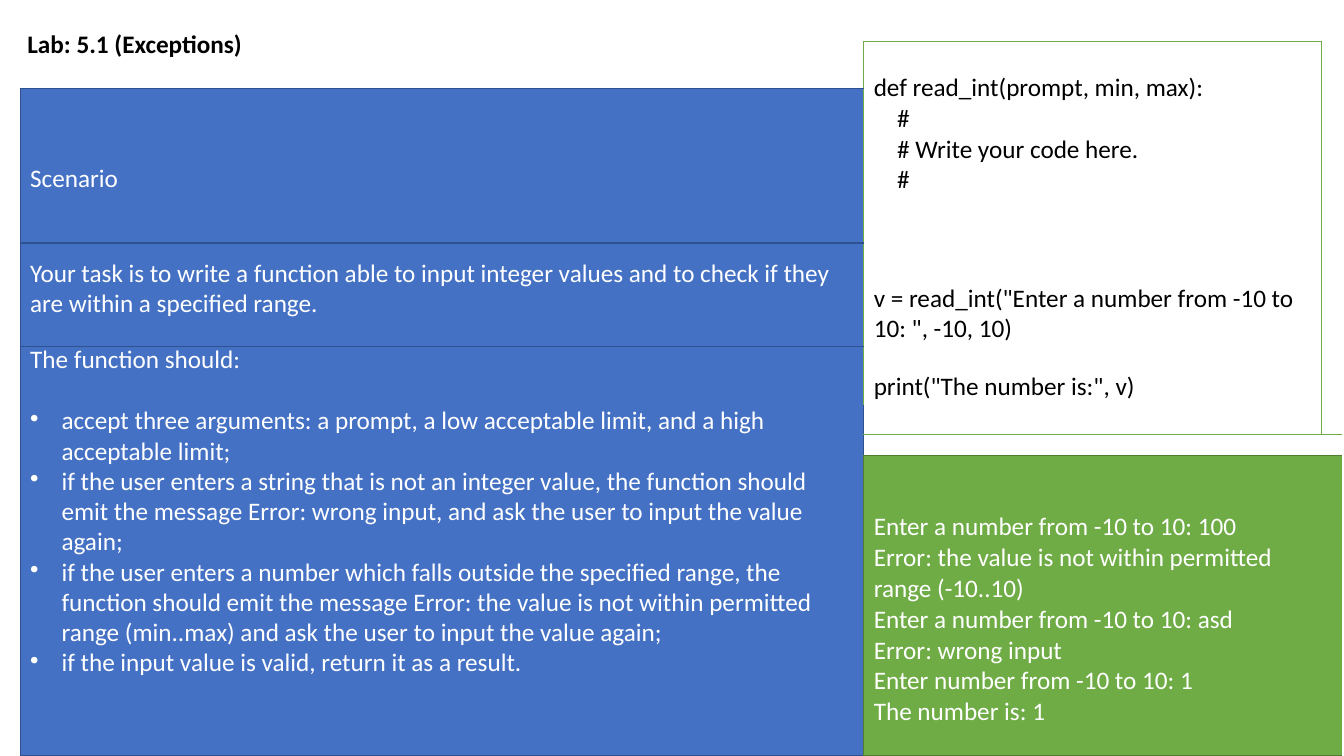
import pptx
import pptx.dml.color
import pptx.enum.text
import pptx.oxml
import pptx.oxml.ns
import pptx.util
from dataclasses import dataclass

Cm = pptx.util.Cm
Pt = pptx.util.Pt
qn = pptx.oxml.ns.qn


@dataclass(frozen=True)
class Theme:
    font: str = "Calibri"
    size: int = 18
    blue: str = "4471C4"
    navy: str = "2E528F"
    lime: str = "6FAC46"
    forest: str = "507D31"
    white: str = "FFFFFF"
    black: str = "000000"


THEME = Theme()
SIDES = {  # side: border tag, row step, column step, facing side
    "left": ("a:lnL", 0, -1, "right"),
    "right": ("a:lnR", 0, 1, "left"),
    "top": ("a:lnT", -1, 0, "bottom"),
    "bottom": ("a:lnB", 1, 0, "top"),
}
BORDER_ORDER = [tag for tag, *_ in SIDES.values()]


def write(frame, lines, color=THEME.black, bold=False, indent=0.0, pitch=None, bullet=False):
    """Fill a frame; a line is a string or a (string, indent in cm) pair."""
    for number, line in enumerate(lines):
        words, left = line if isinstance(line, tuple) else (line, indent)
        paragraph = frame.paragraphs[0] if number == 0 else frame.add_paragraph()
        paragraph.alignment = pptx.enum.text.PP_ALIGN.LEFT
        if pitch:
            paragraph.line_spacing = Pt(pitch)
        run = paragraph.add_run()
        run.text = words
        run.font.name = THEME.font
        run.font.size = Pt(THEME.size)
        run.font.bold = bold
        run.font.color.rgb = pptx.dml.color.RGBColor.from_string(color)
        properties = paragraph._p.get_or_add_pPr()
        properties.set("marL", str(Cm(left)))
        if bullet:
            properties.set("indent", str(-Cm(0.79)))
            mark = properties.makeelement(qn("a:buChar"), {"char": "•"})
            properties.append(mark)


class LabSlide:
    def __init__(self, deck, theme):
        self.theme = theme
        self.slide = deck.slides.add_slide(deck.slide_layouts[6])

    def heading(self, words, left, top, width, height):
        frame = self.slide.shapes.add_textbox(Cm(left), Cm(top), Cm(width), Cm(height)).text_frame
        frame.word_wrap = True
        frame.margin_left = frame.margin_right = frame.margin_top = frame.margin_bottom = 0
        write(frame, [words], bold=True)

    def grid(self, left, top, widths, heights):
        frame = self.slide.shapes.add_table(len(heights), len(widths), Cm(left), Cm(top),
                                            Cm(sum(widths)), Cm(sum(heights)))
        self.table = frame.table
        self.table.first_row = self.table.horz_banding = False
        style = self.table._tbl.tblPr.find(qn("a:tableStyleId"))
        style.text = "{2D5ABB26-0587-4C30-8999-92F81FD0307C}"
        for column, width in zip(self.table.columns, widths):
            column.width = Cm(width)
        for row, height in zip(self.table.rows, heights):
            row.height = Cm(height)
        for cell in self.table.iter_cells():
            cell.margin_left = cell.margin_right = cell.margin_top = cell.margin_bottom = 0
            cell.fill.background()
            # A tiny end mark keeps empty cells from stretching their rows
            ending = cell.text_frame.paragraphs[0]._p
            ending.append(ending.makeelement(qn("a:endParaRPr"), {"sz": "100"}))

    def merge(self, first, last):
        self.table.cell(*first).merge(self.table.cell(*last))

    def fill(self, rows, columns, color):
        for row in rows:
            for column in columns:
                fill = self.table.cell(row, column).fill
                fill.solid()
                fill.fore_color.rgb = pptx.dml.color.RGBColor.from_string(color)

    def text(self, row, column, lines, top=0.0, right=0.5, **style):
        cell = self.table.cell(row, column)
        cell.margin_top, cell.margin_right = Cm(top), Cm(right)
        write(cell.text_frame, lines, **{"indent": 0.25, **style})

    def border(self, side, rows, columns, color):
        """Draw one edge on each cell and on the neighbour that shares it."""
        _, down, across, facing = SIDES[side]
        for row in rows:
            for column in columns:
                self._line(row, column, side, color)
                beside = (row + down, column + across)
                if 0 <= beside[0] < len(self.table.rows) and 0 <= beside[1] < len(self.table.columns):
                    self._line(*beside, facing, color)

    def _line(self, row, column, side, color):
        tag = SIDES[side][0]
        properties = self.table.cell(row, column)._tc.get_or_add_tcPr()
        for old in properties.findall(qn(tag)):
            properties.remove(old)
        line = properties.makeelement(qn(tag), {"w": str(Pt(1))})
        solid = line.makeelement(qn("a:solidFill"), {})
        solid.append(solid.makeelement(qn("a:srgbClr"), {"val": color}))
        line.append(solid)
        earlier = [qn(name) for name in BORDER_ORDER[:BORDER_ORDER.index(tag)]]
        properties.insert(sum(child.tag in earlier for child in properties), line)


def main():
    deck = pptx.Presentation()
    deck.slide_width, deck.slide_height = Cm(33.87), Cm(19.05)
    lab = LabSlide(deck, THEME)

    # Table frame
    lab.grid(0.51, 1.05, [21.26, 11.53, 0.53],
             [1.19, 3.78, 2.62, 0.76, 0.71, 0.74, 0.53, 7.57, 0.08])
    for first, last in [((0, 1), (1, 1)), ((0, 2), (5, 2)), ((5, 0), (7, 0)),
                        ((6, 1), (6, 2)), ((7, 1), (7, 2)), ((8, 1), (8, 2))]:
        lab.merge(first, last)
    lab.fill(range(1, 8), [0], THEME.blue)
    lab.fill([7, 8], [1, 2], THEME.lime)

    # Scenario and task
    lab.text(1, 0, ["Scenario"], top=1.88, color=THEME.white)
    lab.text(2, 0, ["Your task is to write a function able to input integer values and to check "
                    "if they are within a specified range."], top=0.38, color=THEME.white)
    lab.text(3, 0, ["The function should:"], color=THEME.white, pitch=20.1)
    lab.text(5, 0, [
        "accept three arguments: a prompt, a low acceptable limit, and a high acceptable limit;",
        "if the user enters a string that is not an integer value, the function should emit the "
        "message Error: wrong input, and ask the user to input the value again;",
        "if the user enters a number which falls outside the specified range, the function should "
        "emit the message Error: the value is not within permitted range (min..max) and ask the "
        "user to input the value again;",
        "if the input value is valid, return it as a result.",
    ], top=0.03, right=1.1, color=THEME.white, indent=1.04, pitch=21.6, bullet=True)

    # Starter code
    lab.text(0, 1, ["def read_int(prompt, min, max):", ("#", 0.84),
                    ("# Write your code here.", 0.84), ("#", 0.84)], top=0.78)
    lab.text(2, 1, ['v = read_int("Enter a number from -10 to 10: ", -10, 10)'], top=1.01)
    lab.text(4, 1, ['print("The number is:", v)'], pitch=17.7)

    # Sample output
    lab.text(7, 1, [
        "Enter a number from -10 to 10: 100",
        "Error: the value is not within permitted range (-10..10)",
        "Enter a number from -10 to 10: asd",
        "Error: wrong input",
        "Enter number from -10 to 10: 1",
        "The number is: 1",
    ], top=1.42, right=1.5, color=THEME.white)

    # Borders
    for side, rows, columns, color in [
        ("left", range(1, 8), [0], THEME.navy),
        ("top", [1], [0], THEME.navy),
        ("bottom", [1, 7], [0], THEME.navy),
        ("top", [0], [1], THEME.lime),
        ("left", range(5), [1], THEME.lime),
        ("right", range(6), [1], THEME.lime),
        ("bottom", [5], [1, 2], THEME.lime),
        ("left", [5, 6], [1], THEME.navy),
        ("bottom", [6, 8], [1, 2], THEME.forest),
        ("left", [7, 8], [1], THEME.forest),
        ("right", [7, 8], [2], THEME.forest),
    ]:
        lab.border(side, rows, columns, color)

    # Heading
    lab.heading("Lab: 5.1 (Exceptions)", 0.69, 0.72, 6.2, 0.84)

    deck.save("out.pptx")


if __name__ == "__main__":
    main()
